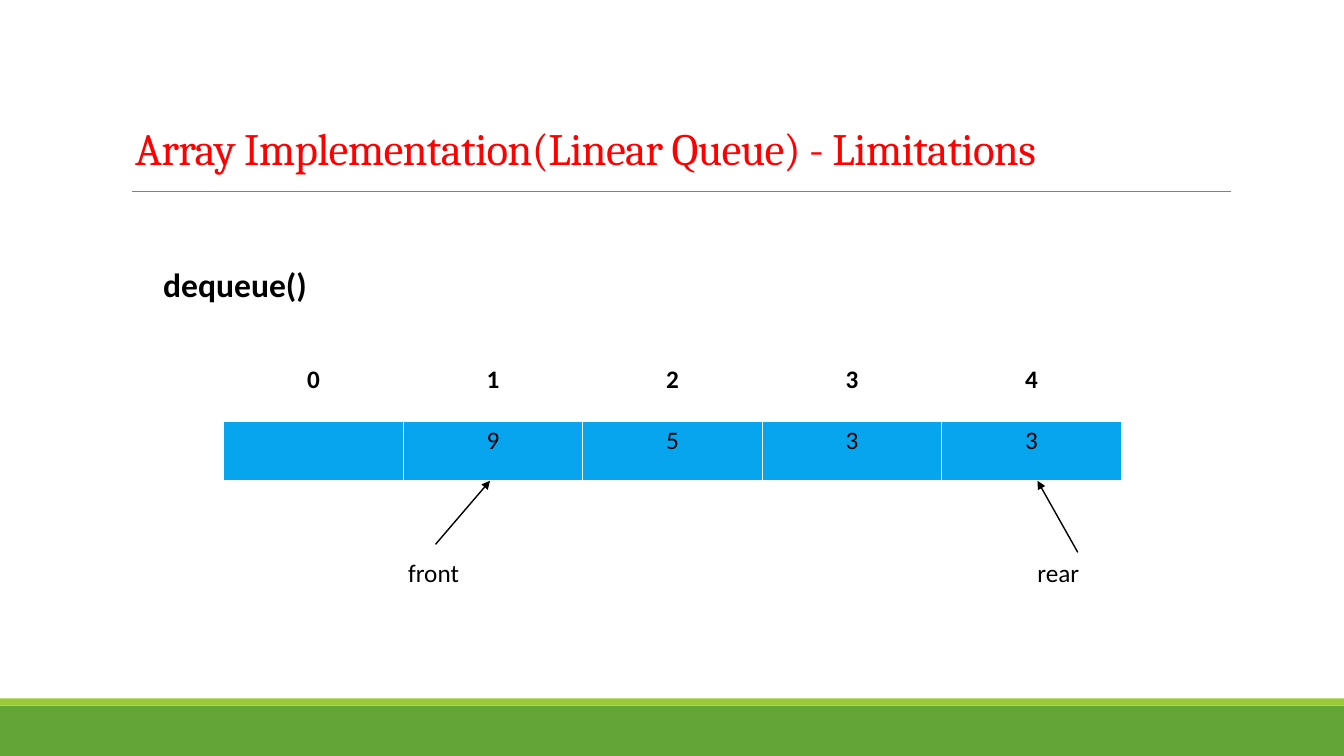
from lxml import etree
from pptx import Presentation
from pptx.dml.color import RGBColor
from pptx.enum.shapes import MSO_CONNECTOR as Line, MSO_SHAPE as Shape
from pptx.enum.text import MSO_ANCHOR as Anchor, MSO_AUTO_SIZE as AutoSize, PP_ALIGN as Align
from pptx.oxml.ns import qn
from pptx.util import Inches, Pt

COLORS = {
    "title": "FF0000", "text": "000000", "cell": "08A5EF", "border": "FFFFFF",
    "rule": "808080", "footer": "63A537", "footer_edge": "99CB38",
}


def rgb(name):
    return RGBColor.from_string(COLORS[name])


class QueueSlide:
    def __init__(self, deck):
        self.slide = deck.slides.add_slide(deck.slide_layouts[5])
        self.shapes = self.slide.shapes

    def style(self, paragraph, size, color="text", bold=False, font="Calibri"):
        paragraph.font.size = Pt(size)
        paragraph.font.bold = bold
        paragraph.font.name = font
        paragraph.font.color.rgb = rgb(color)

    def title(self, text, left, top, width, height):
        heading = self.shapes.title
        heading.left, heading.top = Inches(left), Inches(top)
        heading.width, heading.height = Inches(width), Inches(height)
        frame = heading.text_frame
        frame.text = text
        frame.word_wrap = True
        frame.auto_size = AutoSize.NONE
        frame.vertical_anchor = Anchor.BOTTOM
        paragraph = frame.paragraphs[0]
        paragraph.alignment = Align.LEFT
        paragraph.line_spacing = 0.85
        self.style(paragraph, 32, "title", font="Cambria")
        paragraph.runs[0].font._element.set("spc", "-50")

    def band(self, top, height, color):
        strip = self.shapes.add_shape(
            Shape.RECTANGLE, 0, Inches(top), Inches(13.33), Inches(height))
        strip.shadow.inherit = False
        strip.fill.solid()
        strip.fill.fore_color.rgb = rgb(color)
        strip.line.fill.background()

    def label(self, text, left, top, width, height, size=18, bold=False):
        box = self.shapes.add_textbox(
            Inches(left), Inches(top), Inches(width), Inches(height))
        frame = box.text_frame
        frame.text = text
        frame.word_wrap = False
        frame.auto_size = AutoSize.SHAPE_TO_FIT_TEXT
        self.style(frame.paragraphs[0], size, bold=bold)

    def line(self, start, end, color="text", width=1, arrow=False):
        connector = self.shapes.add_connector(
            Line.STRAIGHT, *(Inches(value) for value in (*start, *end)))
        connector.line.color.rgb = rgb(color)
        connector.line.width = Pt(width)
        if arrow:
            etree.SubElement(connector.line._get_or_add_ln(),
                             qn("a:tailEnd"), type="triangle")
        etree.SubElement(connector._element.spPr, qn("a:effectLst"))

    def borders(self, cell, **widths):
        properties = cell._tc.get_or_add_tcPr()
        for side in "LRTB":
            edge = etree.SubElement(properties, qn(f"a:ln{side}"),
                                    w=str(Pt(widths.get(side, 1))))
            fill = etree.SubElement(edge, qn("a:solidFill"))
            etree.SubElement(fill, qn("a:srgbClr"), val=COLORS["border"])

    def array(self, values, left, top, column_width, row_height):
        count = len(values)
        table = self.shapes.add_table(
            2, count, Inches(left), Inches(top),
            Inches(column_width * count), Inches(row_height * 2)).table
        for row in table.rows:
            row.height = Inches(row_height)
        for index, value in enumerate(values):
            table.columns[index].width = Inches(column_width)
            header, item = table.cell(0, index), table.cell(1, index)
            for cell, text in ((header, str(index)), (item, value)):
                cell.text = text
                paragraph = cell.text_frame.paragraphs[0]
                paragraph.alignment = Align.CENTER
                self.style(paragraph, 18, bold=cell is header)
            self.borders(header, B=3)
            header.fill.background()
            self.borders(item)
            item.fill.solid()
            item.fill.fore_color.rgb = rgb("cell")


def main():
    deck = Presentation()
    deck.slide_width, deck.slide_height = Inches(13.33), Inches(7.5)
    queue = QueueSlide(deck)

    # Footer bands and title with its rule
    queue.band(7, 0.5, "footer")
    queue.band(6.93, 0.07, "footer_edge")
    queue.line((1.31, 1.9), (12.21, 1.9), "rule", 0.5)
    queue.title("Array Implementation(Linear Queue) - Limitations",
                1.24, 0.19, 11.46, 1.59)

    # Operation and the array after it
    queue.label("dequeue()", 1.52, 2.57, 1.64, 0.5, size=24, bold=True)
    queue.array(["", "9", "5", "3", "3"], 2.22, 3.57, 1.78, 0.6)

    # Pointers to both ends of the queue
    queue.label("front", 3.95, 5.48, 0.71, 0.4)
    queue.line((4.32, 5.4), (4.86, 4.77), arrow=True)
    queue.label("rear", 10.19, 5.48, 1, 0.4)
    queue.line((10.69, 5.48), (10.29, 4.77), arrow=True)

    deck.save("out.pptx")


if __name__ == "__main__":
    main()
